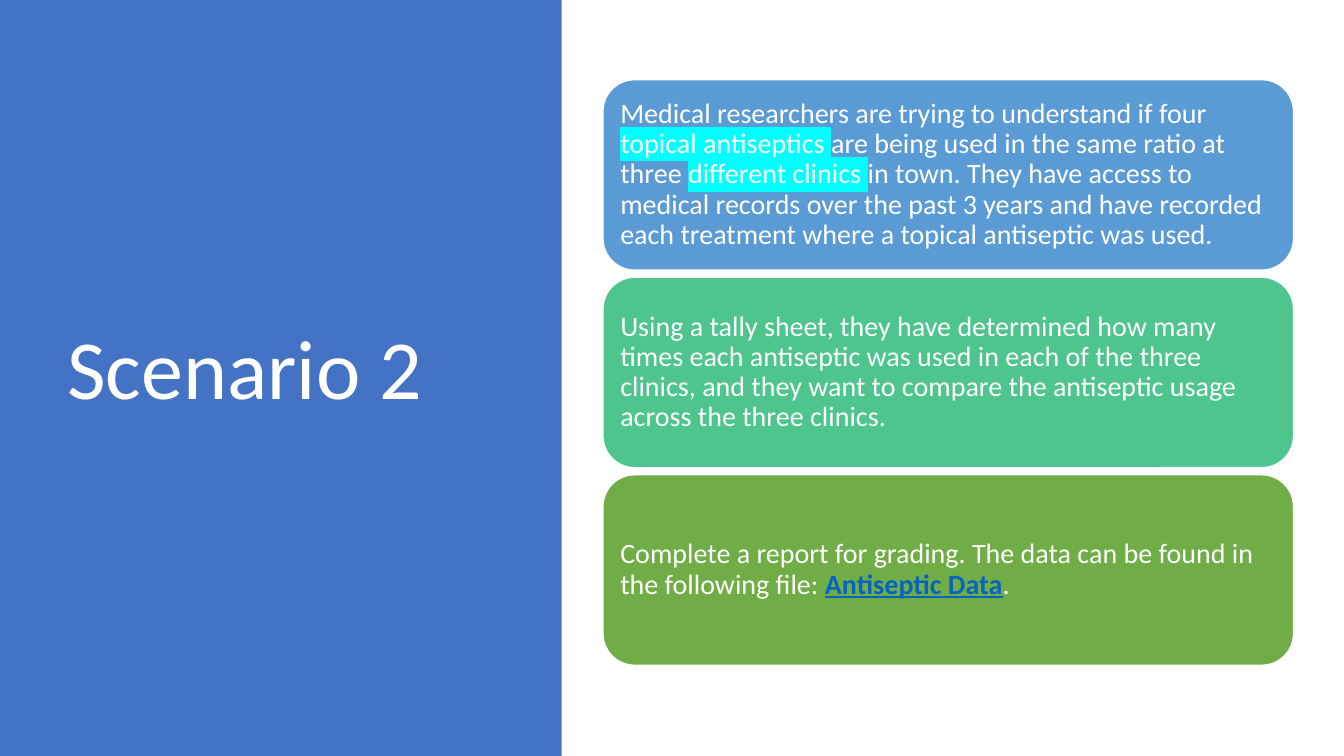
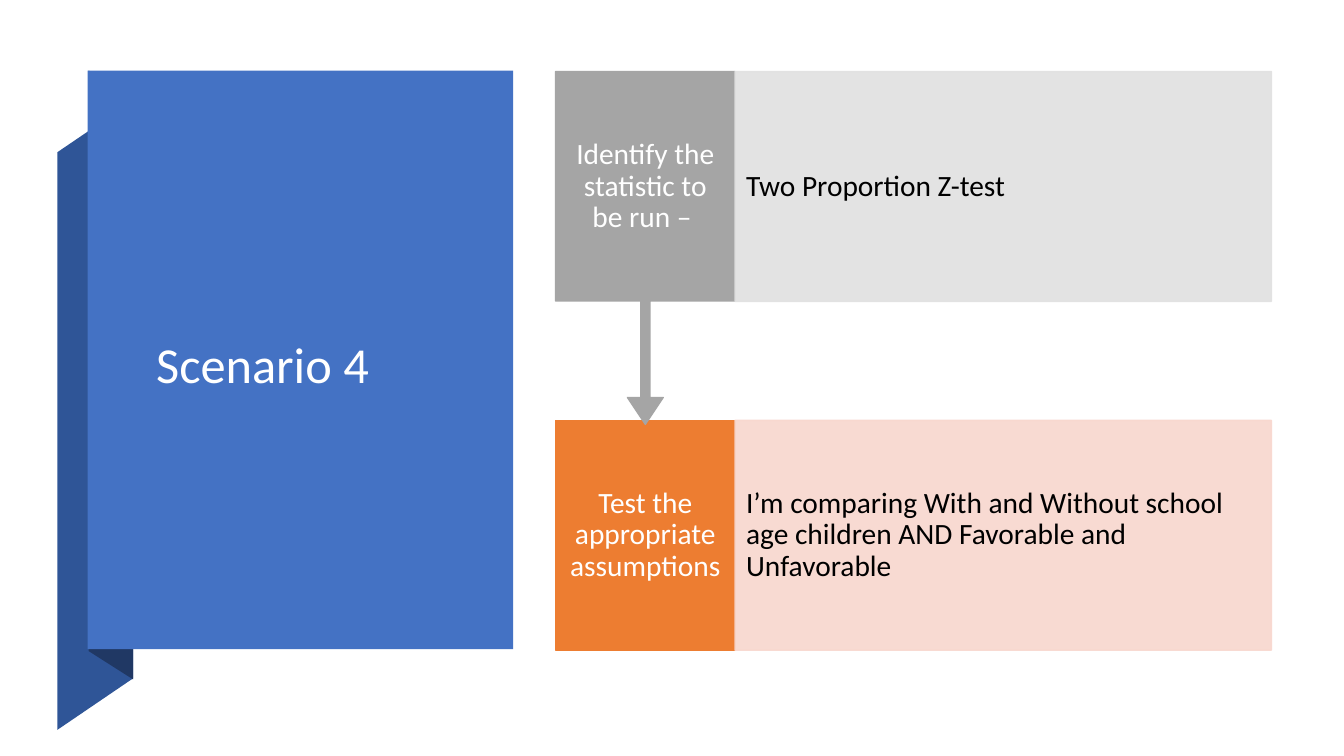
from pptx import Presentation
from pptx.dml.color import RGBColor
from pptx.enum.shapes import MSO_SHAPE as SHAPE
from pptx.enum.text import MSO_ANCHOR as ANCHOR, PP_ALIGN as ALIGN
from pptx.oxml.ns import qn
from pptx.util import Pt
from lxml.etree import Element, SubElement

PX = 9144
FONT = "Calibri"
WHITE = RGBColor(0xFF, 0xFF, 0xFF)
BLACK = RGBColor(0, 0, 0)
BLUE = RGBColor(0x44, 0x72, 0xC4)
MID_BLUE = RGBColor(0x2F, 0x55, 0x97)
NAVY = RGBColor(0x20, 0x38, 0x64)
SKY = RGBColor(0x5B, 0x9B, 0xD5)
TEAL = RGBColor(0x4D, 0xC5, 0x8D)
GREEN = RGBColor(0x70, 0xAD, 0x47)
LINK = RGBColor(0x05, 0x63, 0xC1)
ORANGE = RGBColor(0xED, 0x7D, 0x31)
PEACH = RGBColor(0xF8, 0xD7, 0xCE)
GRAY = RGBColor(0xA5, 0xA5, 0xA5)
PALE_GRAY = RGBColor(0xE1, 0xE1, 0xE1)
CYAN = "00FFFF"

MARK = {"highlight": CYAN}
LINKED = {"color": LINK, "bold": True, "underline": True}

CARDS = [
    (SKY, [
        ("Medical researchers are trying to understand if four ", {}),
        ("topical antiseptics ", MARK),
        ("are being used in the same ratio at three ", {}),
        ("different clinics ", MARK),
        ("in town. They have access to medical records over the past 3 years and have "
         "recorded each treatment where a topical antiseptic was used.", {}),
    ]),
    (TEAL, [
        ("Using a tally sheet, they have determined how many times each antiseptic was used "
         "in each of the three clinics, and they want to compare the antiseptic usage across "
         "the three clinics.", {}),
    ]),
    (GREEN, [
        ("Complete a report for grading. The data can be found in the following file: ", {}),
        ("Antiseptic Data", LINKED),
        (".", {}),
    ]),
]
CARD_X, CARD_Y, CARD_W, CARD_H, CARD_STEP = 598, 79, 685, 189, 196

STEPS = [
    ("Identify the statistic to be run – ", GRAY, "Two Proportion Z-test", PALE_GRAY),
    ("Test the appropriate assumptions", ORANGE,
     "I’m comparing With and Without school age children AND Favorable and Unfavorable", PEACH),
]
STEP_X, STEP_Y, STEP_W, STEP_H, STEP_PITCH = 551, 71, 178, 228, 346
DETAIL_W, CALLOUT_H = 532, 350
CALLOUT_ADJ = (0.05, 0.1, 0.15, 0.65)

RIBBON = [
    (MID_BLUE, [(57, 724), (132, 673), (132, 100), (57, 151)]),
    (NAVY, [(88, 646), (132, 674), (132, 99), (88, 70)]),
]


def emu(*lengths):
    return [n * PX for n in lengths]


def paint(sp, fill, line=None, alpha=None):
    sp.shadow.inherit = False
    sp.fill.solid()
    sp.fill.fore_color.rgb = fill
    if line is None:
        sp.line.fill.background()
    else:
        sp.line.color.rgb = line
        sp.line.width = Pt(1)
    if alpha:
        for clr in sp._element.spPr.iter(qn("a:srgbClr")):
            SubElement(clr, qn("a:alpha")).set("val", str(alpha * 1000))
    return sp


def add_box(s, kind, box, fill, line=None, alpha=None):
    return paint(s.shapes.add_shape(kind, *emu(*box)), fill, line, alpha)


def write(sp, runs, size, color=WHITE, align=ALIGN.LEFT, inset=(10, 5)):
    tf = sp.text_frame
    dx, dy = emu(*inset)
    frame = {"word_wrap": True, "vertical_anchor": ANCHOR.MIDDLE, "margin_left": dx,
             "margin_right": dx, "margin_top": dy, "margin_bottom": dy}
    for name, value in frame.items():
        setattr(tf, name, value)
    p = tf.paragraphs[0]
    p.alignment = align
    p.line_spacing = 0.9
    for text, style in runs:
        r = p.add_run()
        r.text = text
        font = {"name": FONT, "size": Pt(size), "bold": style.get("bold", False),
                "underline": style.get("underline", False)}
        for name, value in font.items():
            setattr(r.font, name, value)
        r.font.color.rgb = style.get("color", color)
        if "highlight" in style:
            mark = Element(qn("a:highlight"))
            SubElement(mark, qn("a:srgbClr")).set("val", style["highlight"])
            r.font._element.find(qn("a:solidFill")).addnext(mark)


def add_text(s, box, text, size, **style):
    write(s.shapes.add_textbox(*emu(*box)), [(text, {})], size, **style)


def add_antiseptic_slide(prs):
    s = prs.slides.add_slide(prs.slide_layouts[6])
    add_box(s, SHAPE.RECTANGLE, (0, 0, 557, 750), BLUE)
    add_text(s, (57, 68, 416, 602), "Scenario 2", 60)
    for i, (fill, runs) in enumerate(CARDS):
        box = (CARD_X, CARD_Y + i * CARD_STEP, CARD_W, CARD_H)
        sp = add_box(s, SHAPE.ROUNDED_RECTANGLE, box, fill, WHITE)
        write(sp, runs, 20, inset=(8, 8))


def add_steps_slide(prs):
    s = prs.slides.add_slide(prs.slide_layouts[6])
    for fill, points in RIBBON:
        fb = s.shapes.build_freeform(*points[0], scale=PX)
        fb.add_line_segments(points[1:], close=True)
        paint(fb.convert_to_shape(), fill)
    add_box(s, SHAPE.RECTANGLE, (87, 70, 422, 574), BLUE)
    add_text(s, (145, 167, 301, 394), "Scenario 4", 36)
    for i, (label, fill, detail, tint) in reversed(list(enumerate(STEPS))):
        y = STEP_Y + i * STEP_PITCH
        if i < len(STEPS) - 1:
            sp = add_box(s, SHAPE.UP_ARROW_CALLOUT, (STEP_X, y, STEP_W, CALLOUT_H), fill, fill)
            sp.rotation = 180
            for n, value in enumerate(CALLOUT_ADJ):
                sp.adjustments[n] = value
        else:
            add_box(s, SHAPE.RECTANGLE, (STEP_X, y, STEP_W, STEP_H), fill, fill)
        add_text(s, (STEP_X, y, STEP_W, STEP_H), label, 21, align=ALIGN.CENTER, inset=(13, 16))
        box = (STEP_X + STEP_W, y, DETAIL_W, STEP_H)
        sp = add_box(s, SHAPE.RECTANGLE, box, tint, tint, alpha=90)
        write(sp, [(detail, {})], 21, color=BLACK, inset=(11, 29))


def main():
    prs = Presentation()
    prs.slide_width, prs.slide_height = emu(1333, 750)
    add_antiseptic_slide(prs)
    add_steps_slide(prs)
    prs.save("out.pptx")


if __name__ == "__main__":
    main()
